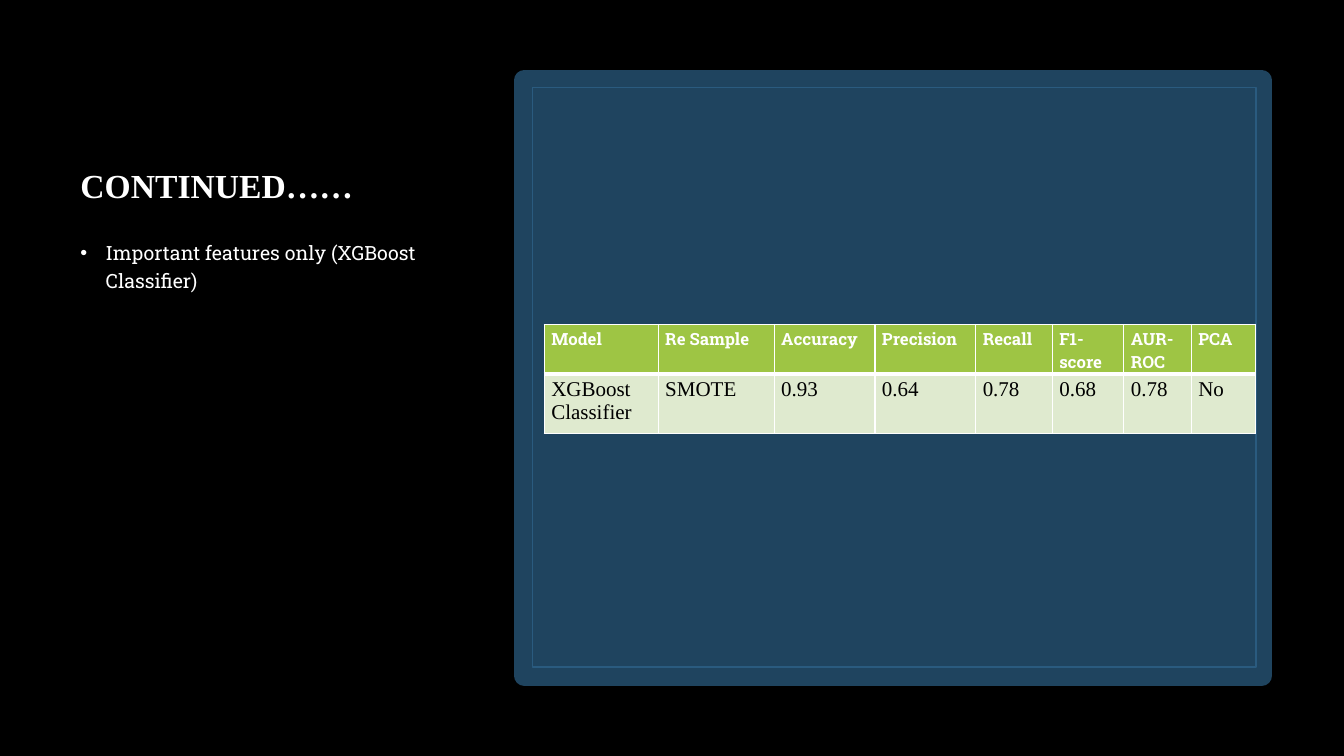
from dataclasses import dataclass

from lxml.etree import SubElement
from pptx import Presentation
from pptx.dml.color import RGBColor
from pptx.enum.shapes import MSO_SHAPE
from pptx.enum.text import MSO_ANCHOR
from pptx.oxml.ns import qn
from pptx.slide import Slide
from pptx.table import _Cell
from pptx.text.text import TextFrame, _Paragraph
from pptx.util import Pt

BLACK = RGBColor(0x00, 0x00, 0x00)
WHITE = RGBColor(0xFF, 0xFF, 0xFF)
NAVY = RGBColor(0x1F, 0x44, 0x5F)
BLUE = RGBColor(0x2A, 0x5B, 0x7F)
GREEN = RGBColor(0x9E, 0xC5, 0x44)
PALE = RGBColor(0xDF, 0xEA, 0xCF)

SLAB = "Roboto Slab"
TIMES = "Times New Roman"


@dataclass
class Box:
    left: float
    top: float
    width: float
    height: float

    def place(self) -> list[Pt]:
        return [Pt(n) for n in (self.left, self.top, self.width, self.height)]


@dataclass
class Style:
    name: str
    size: float
    color: RGBColor
    bold: bool = False


@dataclass
class Frame:
    box: Box
    line: RGBColor
    weight: float
    fill: RGBColor | None = None


@dataclass
class Row:
    height: float
    fill: RGBColor
    style: Style
    edges: dict[str, float]
    texts: list[str]


FRAMES = [
    Frame(Box(374.4, 57.6, 527, 424.8), NAVY, 15, NAVY),
    Frame(Box(380.2, 62.6, 517, 414), BLUE, 1),
]
COLS = [81.4, 82.8, 72, 72, 54.7, 51.1, 48.2, 46.1]
ROWS = [
    Row(35.3, GREEN, Style(SLAB, 12, WHITE, True),
        {"lnL": 1, "lnR": 1, "lnT": 1, "lnB": 3},
        ["Model", "Re Sample", "Accuracy", "Precision", "Recall",
         "F1-score", "AUR-ROC", "PCA"]),
    Row(42.5, PALE, Style(TIMES, 15, BLACK),
        {"lnL": 1, "lnR": 1, "lnT": 3, "lnB": 1},
        ["XGBoost Classifier", "SMOTE", "0.93", "0.64", "0.78",
         "0.68", "0.78", "No"]),
]


def write(para: _Paragraph, text: str, style: Style) -> None:
    run = para.add_run()
    run.text = text
    form = {"name": style.name, "size": Pt(style.size), "bold": style.bold}
    for key, value in form.items():
        setattr(run.font, key, value)
    run.font.color.rgb = style.color


def add_text(slide: Slide, box: Box, anchor: MSO_ANCHOR) -> TextFrame:
    frame = slide.shapes.add_textbox(*box.place()).text_frame
    form = {"word_wrap": True, "vertical_anchor": anchor}
    for key, value in form.items():
        setattr(frame, key, value)
    return frame


def add_bullet(para: _Paragraph, indent: float) -> None:
    props = para._p.get_or_add_pPr()
    props.set("marL", str(Pt(indent)))
    props.set("indent", str(-Pt(indent)))
    SubElement(props, qn("a:buFont"), typeface="Arial")
    SubElement(props, qn("a:buChar"), char="•")


def add_frame(slide: Slide, frame: Frame) -> None:
    shape = slide.shapes.add_shape(MSO_SHAPE.RECTANGLE, *frame.box.place())
    shape.shadow.inherit = False
    if frame.fill is None:
        shape.fill.background()
    else:
        shape.fill.solid()
        shape.fill.fore_color.rgb = frame.fill
    shape.line.color.rgb = frame.line
    shape.line.width = Pt(frame.weight)


def fill_cell(cell: _Cell, text: str, row: Row) -> None:
    props = cell._tc.get_or_add_tcPr()
    for edge, weight in row.edges.items():
        line = SubElement(props, qn(f"a:{edge}"), w=str(Pt(weight)))
        SubElement(SubElement(line, qn("a:solidFill")),
                   qn("a:srgbClr"), val=str(WHITE))
    cell.fill.solid()
    cell.fill.fore_color.rgb = row.fill
    form = {"margin_left": Pt(5), "margin_right": Pt(5),
            "margin_top": Pt(2.7), "margin_bottom": Pt(2.7)}
    for key, value in form.items():
        setattr(cell, key, value)
    write(cell.text_frame.paragraphs[0], text, row.style)


def add_scores(slide: Slide) -> None:
    box = Box(388.8, 231.8, sum(COLS), sum(row.height for row in ROWS))
    table = slide.shapes.add_table(len(ROWS), len(COLS), *box.place()).table
    for col, width in zip(table.columns, COLS):
        col.width = Pt(width)
    for r, row in enumerate(ROWS):
        table.rows[r].height = Pt(row.height)
        for c, text in enumerate(row.texts):
            fill_cell(table.cell(r, c), text, row)


def main() -> None:
    deck = Presentation()
    deck.slide_width, deck.slide_height = Pt(960), Pt(540)
    slide = deck.slides.add_slide(deck.slide_layouts[6])
    slide.background.fill.solid()
    slide.background.fill.fore_color.rgb = BLACK

    # Title
    title = add_text(slide, Box(50.4, 50.4, 265, 100), MSO_ANCHOR.BOTTOM)
    para = title.paragraphs[0]
    para.line_spacing = 0.9
    write(para, "CONTINUED……", Style(TIMES, 24, WHITE, True))

    # Bullet point
    body = add_text(slide, Box(50.4, 164.9, 265, 317.5), MSO_ANCHOR.TOP)
    para = body.paragraphs[0]
    para.line_spacing = 1.2
    para.space_before = Pt(10)
    add_bullet(para, 18)
    write(para, "Important features only (XGBoost Classifier)",
          Style(SLAB, 14, WHITE))

    # Panel with its inner border
    for frame in FRAMES:
        add_frame(slide, frame)

    # Score table
    add_scores(slide)
    deck.save("out.pptx")


if __name__ == "__main__":
    main()
